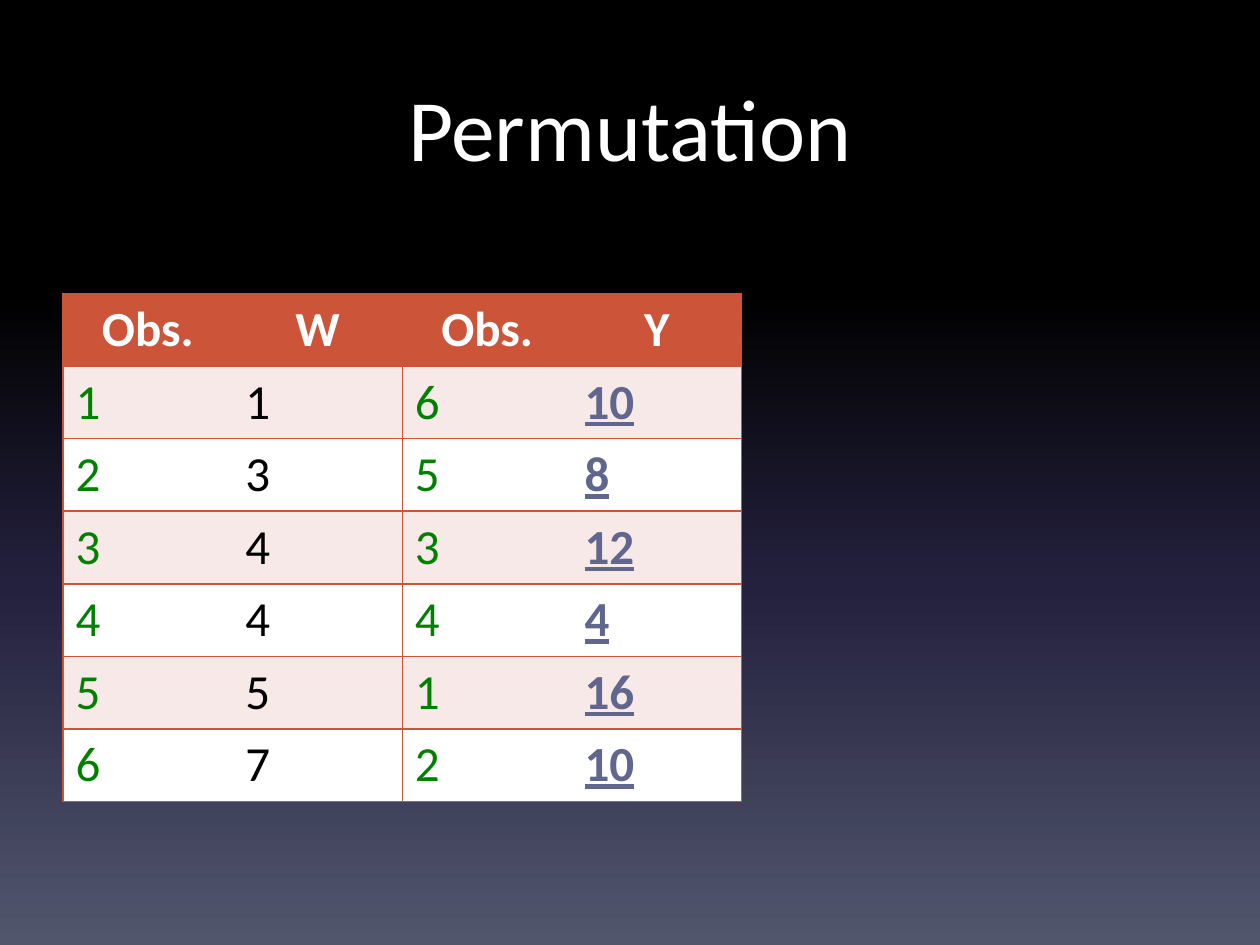
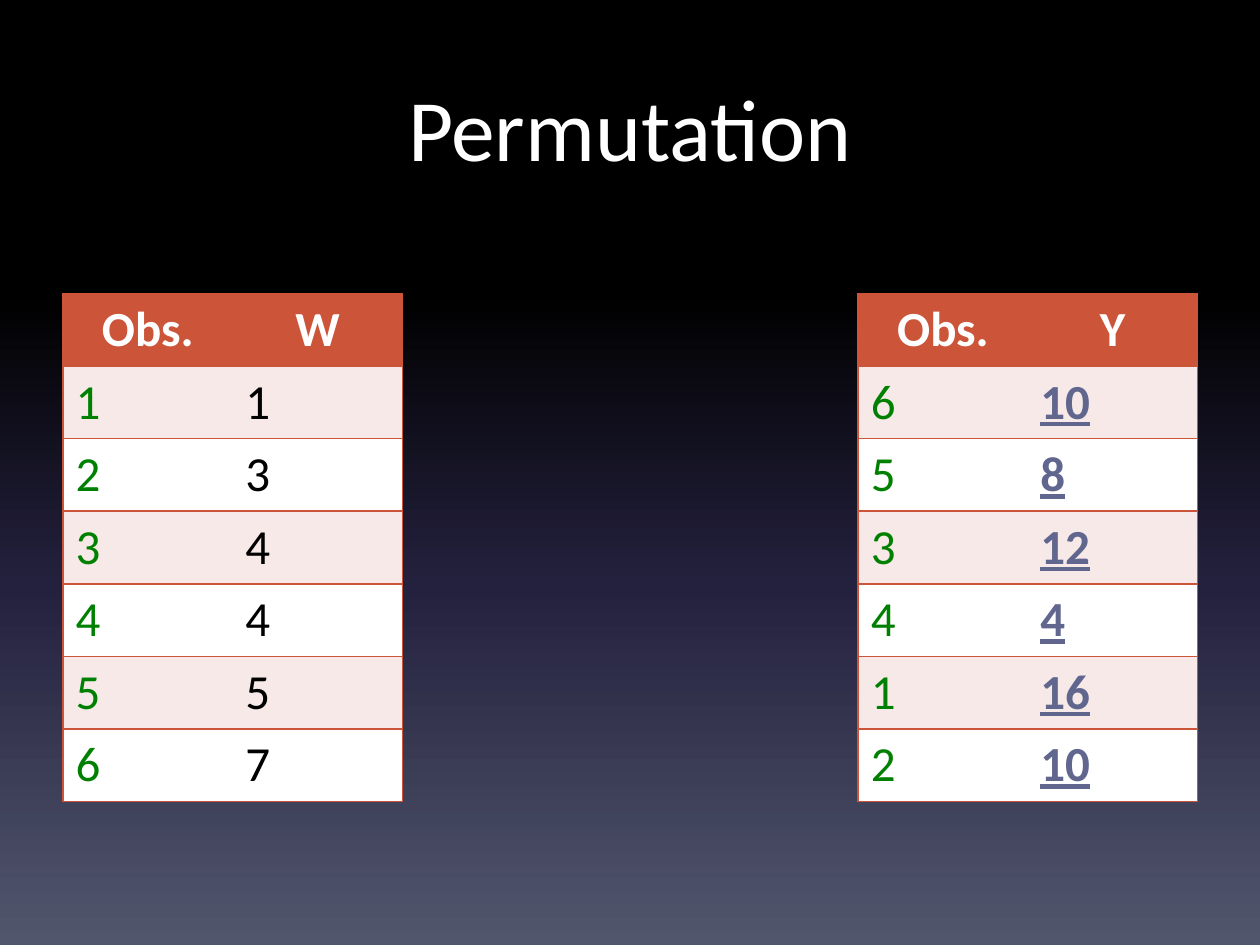
from lxml import etree
from pptx import Presentation
from pptx.dml.color import RGBColor
from pptx.enum import text
from pptx.oxml import ns
from pptx.util import Cm, Pt

FONT = "Calibri"
WHITE, RUST, PINK = "FFFFFF", "CC5439", "F6E9E8"
GREEN, BLACK, SLATE = "008000", "000000", "60668D"
STOPS = [(0, BLACK), (31, BLACK), (62, "24213E"), (100, "51566D")]
LEFT, TOP, WIDE, HIGH = 1.27, 5.92, 3.42, 1.46

W_ROWS = [("Obs.", "W"), (1, 1), (2, 3), (3, 4), (4, 4), (5, 5), (6, 7)]
Y_ROWS = [("Obs.", "Y"), (6, 10), (5, 8), (3, 12), (4, 4), (1, 16), (2, 10)]


def style(font, size, color):
    font.name, font.size = FONT, Pt(size)
    font.color.rgb = RGBColor.from_string(color)


def add_grid(slide, left, rows, marked):
    """Add an Obs./value table; marked values are bold and underlined."""
    grid = slide.shapes.add_table(len(rows), 2, Cm(left), Cm(TOP),
                                  Cm(2 * WIDE), Cm(HIGH * len(rows))).table
    for r, row in enumerate(rows):
        for c, value in enumerate(row):
            cell = grid.cell(r, c)
            cell.text = str(value)
            fill = RUST if r == 0 else PINK if r % 2 else WHITE
            cell.fill.solid()
            cell.fill.fore_color.rgb = RGBColor.from_string(fill)

            para = cell.text_frame.paragraphs[0]
            strong = marked and c == 1
            ink = GREEN if c == 0 else SLATE if marked else BLACK
            style(para.font, 28, ink if r else WHITE)
            para.font.bold = r == 0 or strong
            para.font.underline = r > 0 and strong
            if r == 0:
                para.alignment = text.PP_ALIGN.CENTER

            # No line between the two columns
            inner = "lnR" if c == 0 else "lnL"
            props = cell._tc.get_or_add_tcPr()
            for i, side in enumerate(["lnL", "lnR", "lnT", "lnB"]):
                line = etree.Element(ns.qn("a:" + side), w=str(Pt(1)))
                if side == inner:
                    etree.SubElement(line, ns.qn("a:noFill"))
                else:
                    solid = etree.SubElement(line, ns.qn("a:solidFill"))
                    etree.SubElement(solid, ns.qn("a:srgbClr"), val=RUST)
                props.insert(i, line)


prs = Presentation()
prs.slide_width, prs.slide_height = Cm(25.4), Cm(19.05)

# Shared background, top to bottom
master = prs.slide_master
back = master.background.fill
back.gradient()
back.gradient_angle = 270
stops = master.element.find(".//" + ns.qn("a:gsLst"))
for old in list(stops):
    stops.remove(old)
for place, color in STOPS:
    stop = etree.SubElement(stops, ns.qn("a:gs"), pos=str(place * 1000))
    etree.SubElement(stop, ns.qn("a:srgbClr"), val=color)

# The Y table first touches the W table, then moves to the right
for y_left in (LEFT + 2 * WIDE, 17.3):
    slide = prs.slides.add_slide(prs.slide_layouts[5])
    title = slide.shapes.title
    title.left, title.top = Cm(1.27), Cm(1.27)
    title.width, title.height = Cm(22.86), Cm(3.18)
    frame = title.text_frame
    frame.text = "Permutation"
    frame.vertical_anchor = text.MSO_ANCHOR.TOP
    frame.margin_top = Cm(0.22)
    para = frame.paragraphs[0]
    para.alignment = text.PP_ALIGN.CENTER
    style(para.font, 50, WHITE)

    add_grid(slide, LEFT, W_ROWS, False)
    add_grid(slide, y_left, Y_ROWS, True)

prs.save("out.pptx")
